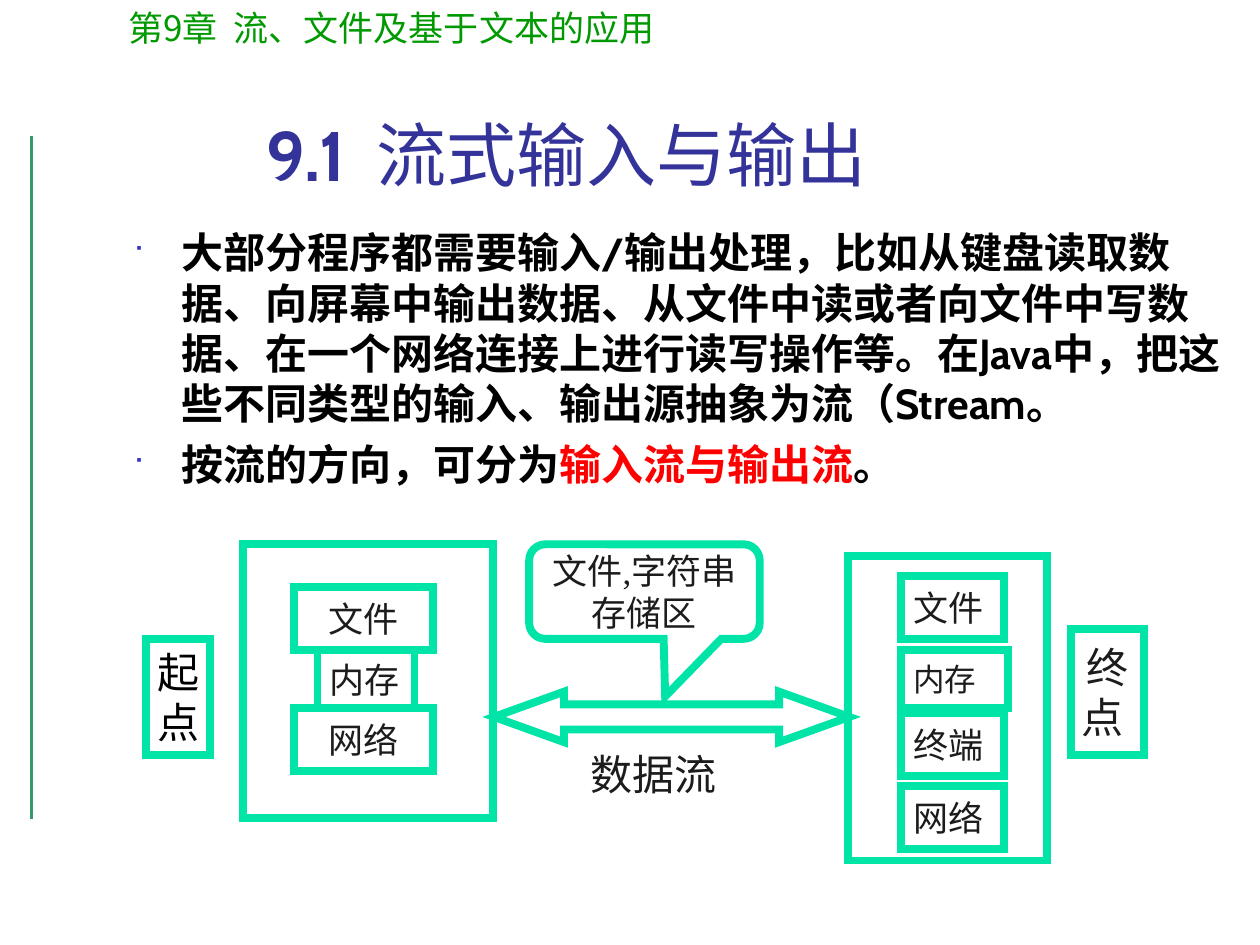
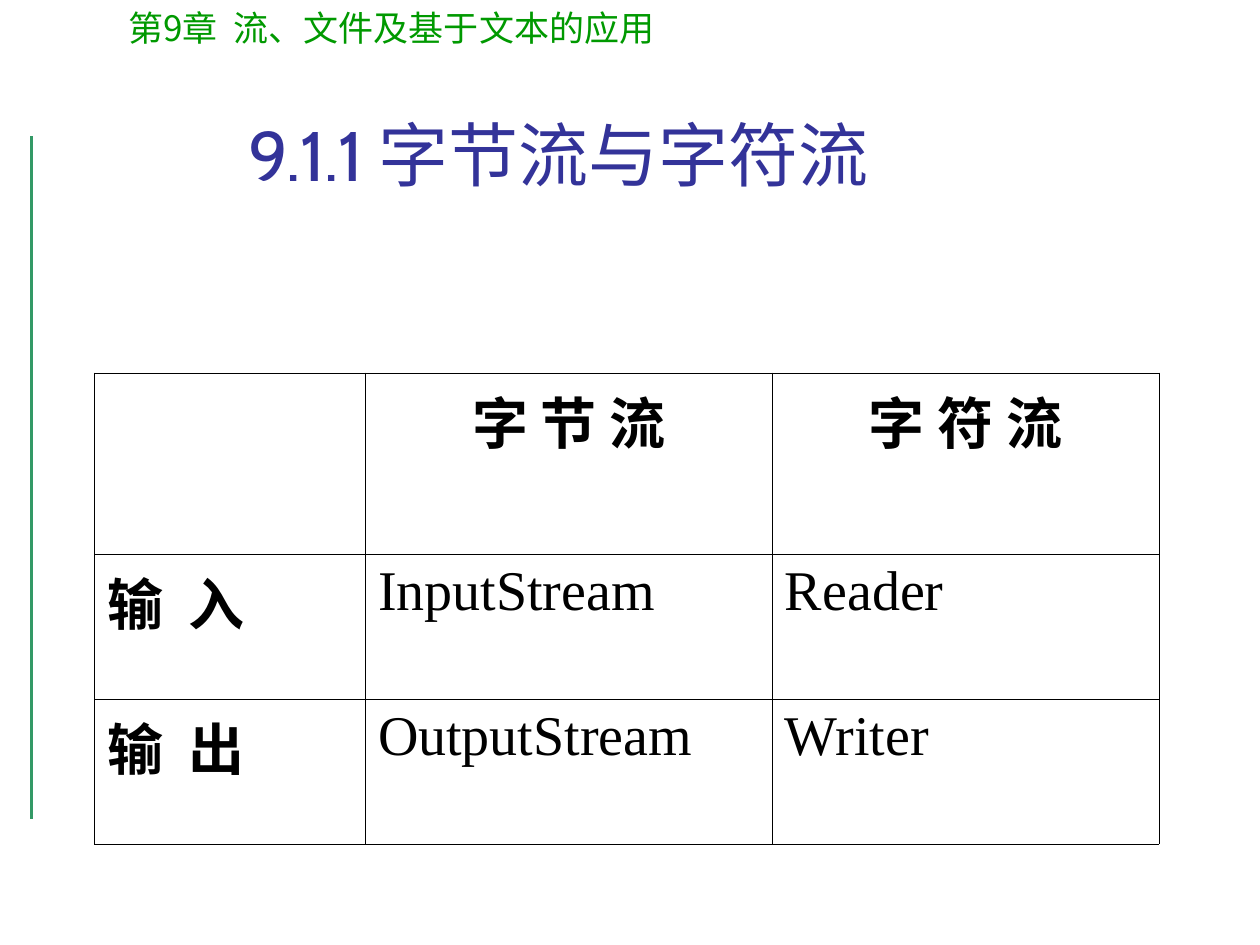
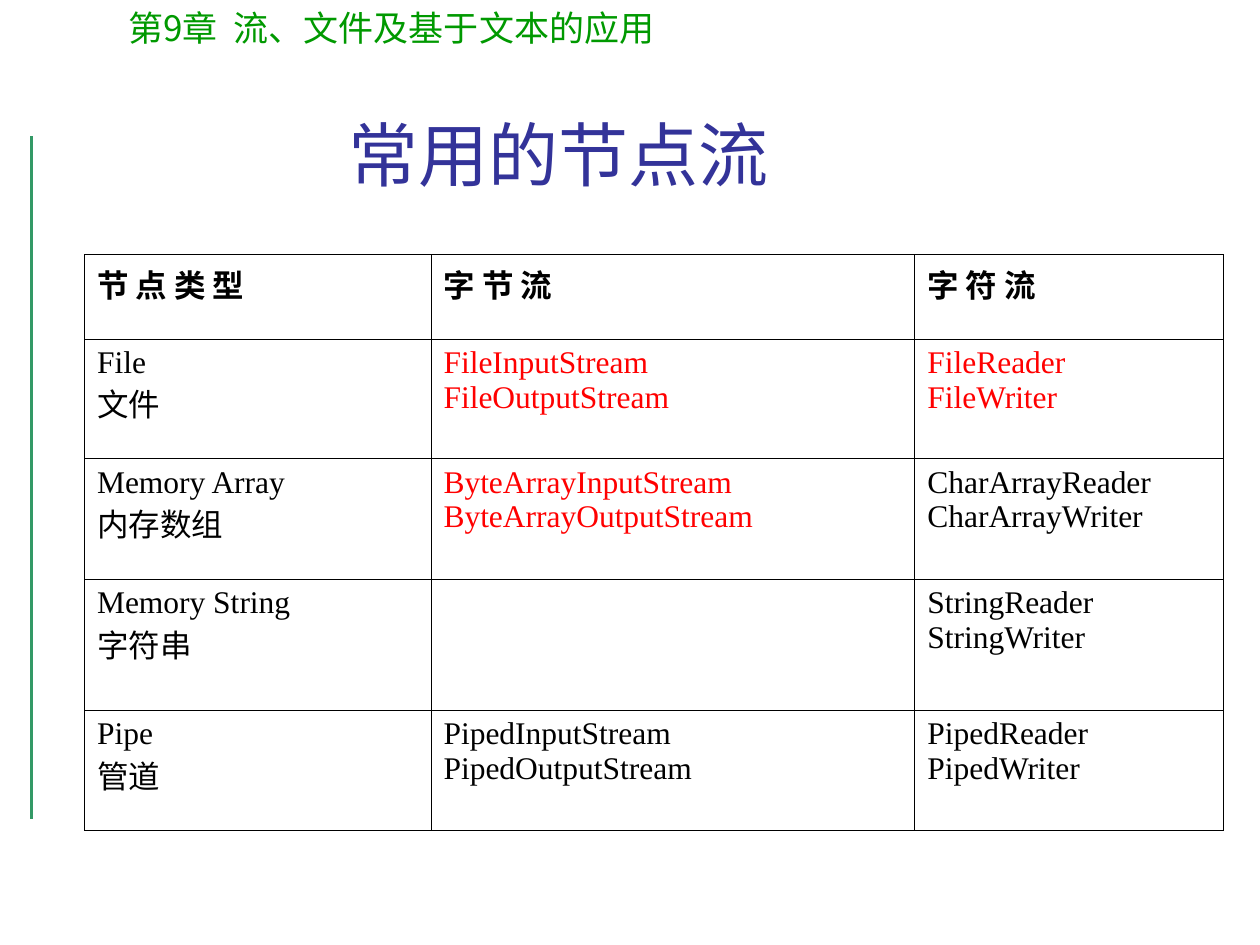
from lxml import etree
from pptx import Presentation
from pptx.dml.color import RGBColor
from pptx.enum.shapes import MSO_CONNECTOR, MSO_SHAPE
from pptx.enum.text import MSO_ANCHOR, PP_ALIGN
from pptx.oxml import parse_xml
from pptx.oxml.ns import nsdecls, qn
from pptx.util import Inches, Pt

LEFT, CENTER = PP_ALIGN.LEFT, PP_ALIGN.CENTER
TOP, MIDDLE, BOTTOM = MSO_ANCHOR.TOP, MSO_ANCHOR.MIDDLE, MSO_ANCHOR.BOTTOM
RECT, ARROW = MSO_SHAPE.RECTANGLE, MSO_SHAPE.LEFT_RIGHT_ARROW
CALLOUT = MSO_SHAPE.ROUNDED_RECTANGULAR_CALLOUT
STRAIGHT = MSO_CONNECTOR.STRAIGHT

BLACK = RGBColor(0x00, 0x00, 0x00)
INK = RGBColor(0x1C, 0x1C, 0x1C)
RED = RGBColor(0xFF, 0x00, 0x00)
BLUE = RGBColor(0x33, 0x33, 0x99)
BULLET = RGBColor(0x33, 0x33, 0xCC)
GREEN = RGBColor(0x00, 0x99, 0x00)
RULE = RGBColor(0x33, 0x99, 0x66)
MINT = RGBColor(0x00, 0xE4, 0xA8)

CABIN, NOTO, TIMES = "Cabin", "Noto Sans CJK SC", "Times New Roman"

# Text formats: "ea" is the East Asian font, the rest are font attributes
HEADER = {"name": NOTO, "ea": CABIN, "size": Pt(20), "color": GREEN}
TITLE = {"name": CABIN, "ea": CABIN, "size": Pt(40), "color": BLUE}
BODY = {"name": CABIN, "ea": CABIN, "size": Pt(24), "color": BLACK, "bold": True}
LABEL = {"name": TIMES, "ea": CABIN, "size": Pt(20), "color": INK}
CELL = {"name": TIMES, "ea": NOTO, "size": Pt(18), "color": BLACK}


def write(tf, paragraphs, fmt, align=LEFT, anchor=TOP, wrap=True):
    """Each paragraph is a string or a list of (text, format changes)."""
    tf.word_wrap = wrap
    tf.vertical_anchor = anchor
    for i, runs in enumerate(paragraphs):
        p = tf.paragraphs[0] if i == 0 else tf.add_paragraph()
        p.alignment = align
        for text, changes in [(runs, {})] if isinstance(runs, str) else runs:
            r = p.add_run()
            r.text = text
            for key, value in {**fmt, **changes}.items():
                if key == "color":
                    r.font.color.rgb = value
                elif key != "ea":
                    setattr(r.font, key, value)
            etree.SubElement(r.font._element, qn("a:ea"), typeface=fmt["ea"])


def add_grid(s, box, widths, heights, rows, fmt, header_align=LEFT):
    """Rows hold cells as (lines, format changes)."""
    frame = s.shapes.add_table(len(rows), len(widths), *map(Inches, box))
    tbl = frame.table
    tbl.first_row = tbl.horz_banding = False
    for col, width in zip(tbl.columns, widths):
        col.width = Inches(width)
    for i, (height, row) in enumerate(zip(heights, rows)):
        tbl.rows[i].height = Inches(height)
        for j, (lines, changes) in enumerate(row):
            cell = tbl.cell(i, j)
            write(cell.text_frame, lines, {**fmt, **changes},
                  header_align if i == 0 else LEFT)
            tc_pr = cell._tc.get_or_add_tcPr()
            for side in ("lnL", "lnR", "lnT", "lnB"):
                tc_pr.append(parse_xml(
                    f'<a:{side} {nsdecls("a")} w="{Pt(0.45)}"><a:solidFill>'
                    f'<a:srgbClr val="{BLACK}"/></a:solidFill></a:{side}>'))
            cell.fill.background()
            cell.margin_left = cell.margin_right = Inches(0.1)
            cell.margin_top = cell.margin_bottom = Inches(0.05)


prs = Presentation()
prs.slide_width, prs.slide_height = Inches(10), Inches(7.5)

# Shared side rule, chapter header and title
titles = [
    [("9.1  ", {"bold": True}), ("流式输入与输出", {})],
    "9.1.1 字节流与字符流 ",
    "常用的节点流 ",
]
slides = []
for title in titles:
    s = prs.slides.add_slide(prs.slide_layouts[6])
    rule = s.shapes.add_connector(
        STRAIGHT, Inches(0.25), Inches(1.08), Inches(0.25), Inches(6.5))
    rule.line.color.rgb = RULE
    rule.line.width = Pt(2.25)
    etree.SubElement(rule._element.spPr, qn("a:effectLst"))
    tf = s.shapes.add_textbox(*map(Inches, (0.92, 0, 8.26, 0.94))).text_frame
    write(tf, ["第9章  流、文件及基于文本的应用"], HEADER)
    tf = s.shapes.add_textbox(*map(Inches, (0.58, 0.67, 7.83, 0.93))).text_frame
    write(tf, [title], TITLE, CENTER, BOTTOM)
    slides.append(s)
stream_slide, kinds_slide, nodes_slide = slides

# Slide 1: bullets
tf = stream_slide.shapes.add_textbox(*map(Inches, (0.96, 1.75, 9.04, 4.96))).text_frame
write(tf, [
    "大部分程序都需要输入/输出处理，比如从键盘读取数据、向屏幕中输出数据、"
    "从文件中读或者向文件中写数据、在一个网络连接上进行读写操作等。"
    "在Java中，把这些不同类型的输入、输出源抽象为流（Stream。",
    [("按流的方向，可分为", {}), ("输入流与输出流", {"color": RED}), ("。", {})],
], BODY)
for p in tf.paragraphs:
    p.space_before = Pt(6)
    p_pr = p._p.get_or_add_pPr()
    p_pr.set("marL", str(Inches(0.38)))
    p_pr.set("indent", str(-Inches(0.38)))
    p_pr.set("hangingPunct", "0")
    color = etree.SubElement(p_pr, qn("a:buClr"))
    etree.SubElement(color, qn("a:srgbClr"), val=str(BULLET))
    etree.SubElement(p_pr, qn("a:buSzPct"), val="60000")
    etree.SubElement(p_pr, qn("a:buFont"), typeface="Wingdings", charset="2")
    etree.SubElement(p_pr, qn("a:buChar"), char="■")

# Slide 1: stream diagram (shape, box, lines, alignment, format changes)
BIG = {"size": Pt(24)}
diagram = [
    (RECT, (6.73, 4.41, 1.58, 2.42), [], LEFT, {}),
    (RECT, (7.15, 4.57, 0.82, 0.5), ["文件"], LEFT, {}),
    (RECT, (7.15, 5.16, 0.85, 0.46), ["内存"], LEFT, {"size": Pt(18)}),
    (RECT, (7.15, 5.66, 0.82, 0.5), ["终端"], LEFT, {}),
    (RECT, (7.15, 6.24, 0.82, 0.5), ["网络"], LEFT, {}),
    (RECT, (1.93, 4.32, 1.98, 2.17), [], LEFT, {}),
    (RECT, (2.33, 4.66, 1.11, 0.5), ["文件"], CENTER, {}),
    (RECT, (2.52, 5.16, 0.77, 0.46), ["内存"], LEFT, {}),
    (RECT, (2.33, 5.62, 1.11, 0.5), ["网络"], CENTER, {}),
    (ARROW, (3.92, 5.49, 2.82, 0.4), [], LEFT, {}),
    (RECT, (1.16, 5.07, 0.51, 0.92), ["起", "点"], CENTER, {**BIG, "color": BLACK}),
    (RECT, (8.5, 4.99, 0.58, 1), ["终", "点 "], CENTER, BIG),
    (CALLOUT, (4.2, 4.32, 1.83, 0.75), ["文件,字符串", "存储区"], CENTER, {}),
]
adjustments = {ARROW: (0.5, 1.39), CALLOUT: (0.09, 1.11, 0.17)}
for kind, box, lines, align, changes in diagram:
    sp = stream_slide.shapes.add_shape(kind, *map(Inches, box))
    sp.shadow.inherit = False
    sp.fill.background()
    sp.line.color.rgb = MINT
    sp.line.width = Pt(4.5)
    etree.SubElement(sp.line._get_or_add_ln(), qn("a:miter"), lim="800000")
    for i, value in enumerate(adjustments.get(kind, ())):
        sp.adjustments[i] = value
    write(sp.text_frame, lines, {**LABEL, **changes}, align, MIDDLE, wrap=False)
tf = stream_slide.shapes.add_textbox(*map(Inches, (4.59, 5.89, 1.2, 0.5))).text_frame
write(tf, ["数据流"], {**LABEL, **BIG}, wrap=False)

# Slide 2: byte and character streams
BOLD, PLAIN, MARKED = {"bold": True}, {}, {"color": RED}
add_grid(kinds_slide, (0.75, 2.96, 8.45, 3.74), (2.15, 3.23, 3.07), (1.44, 1.15, 1.15), [
    [([], PLAIN), (["字 节 流"], BOLD), (["字 符 流"], BOLD)],
    [(["输  入"], BOLD), (["InputStream"], PLAIN), (["Reader"], PLAIN)],
    [(["输  出"], BOLD), (["OutputStream"], PLAIN), (["Writer"], PLAIN)],
], {**CELL, "size": Pt(32)}, CENTER)

# Slide 3: common node streams
nodes = [
    (["File", "文件"], "File", MARKED, "File", MARKED),
    (["Memory Array", "内存数组"], "ByteArray", MARKED, "CharArray", PLAIN),
    (["Memory String", "字符串"], None, PLAIN, "String", PLAIN),
    (["Pipe", "管道"], "Piped", PLAIN, "Piped", PLAIN),
]
rows = [[([text], BOLD) for text in ("节 点 类 型", "字 节 流", "字 符 流")]]
for node, byte, byte_fmt, char, char_fmt in nodes:
    streams = [byte + "InputStream", byte + "OutputStream"] if byte else []
    rows.append([(node, PLAIN), (streams, byte_fmt),
                 ([char + "Reader", char + "Writer"], char_fmt)])
add_grid(nodes_slide, (0.67, 2.02, 9.04, 4.57), (2.75, 3.84, 2.45),
         (0.67, 0.95, 0.96, 1.04, 0.95), rows, CELL)

prs.save("out.pptx")
